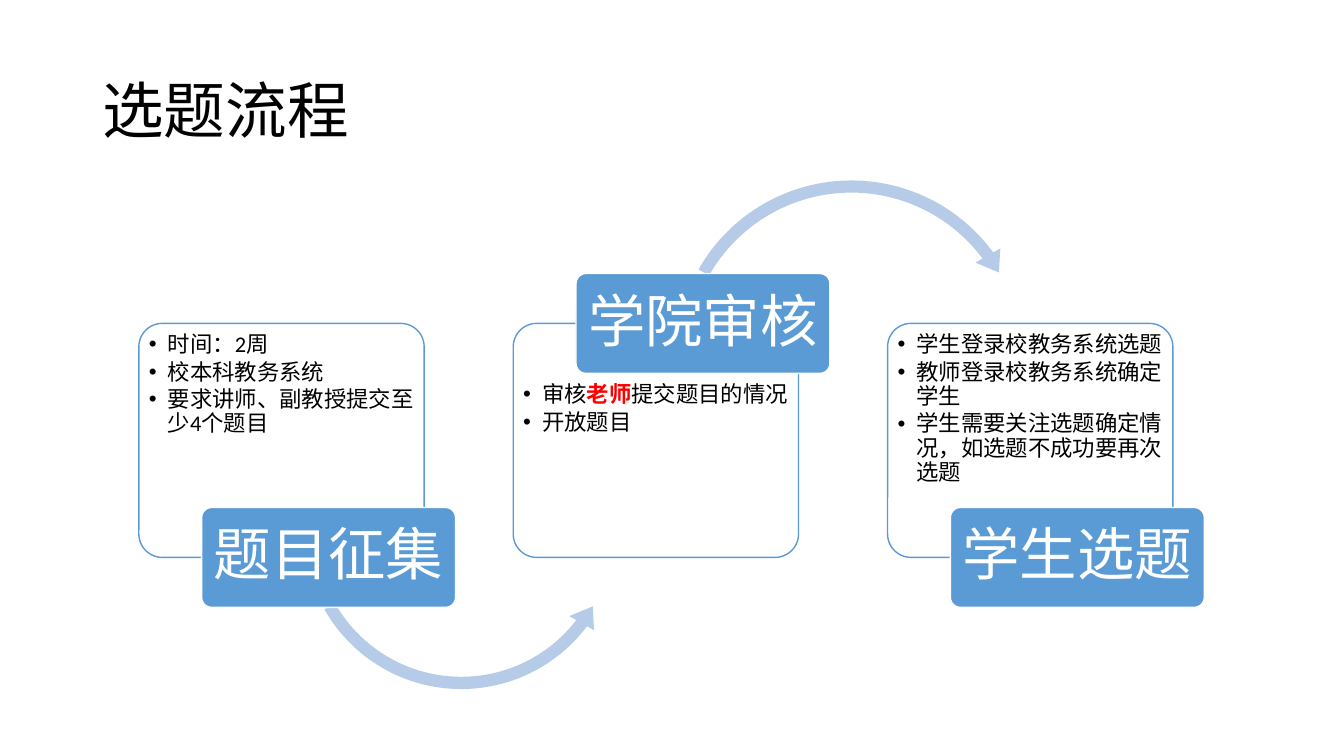
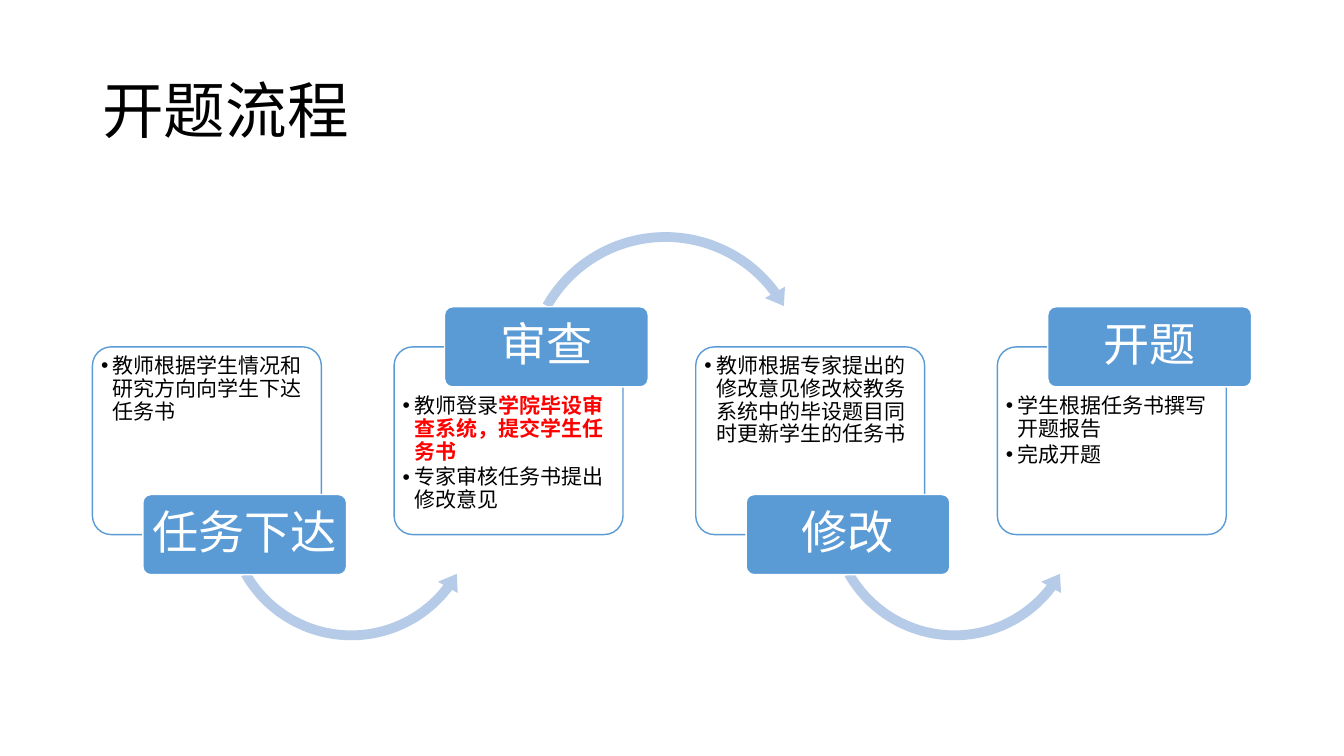
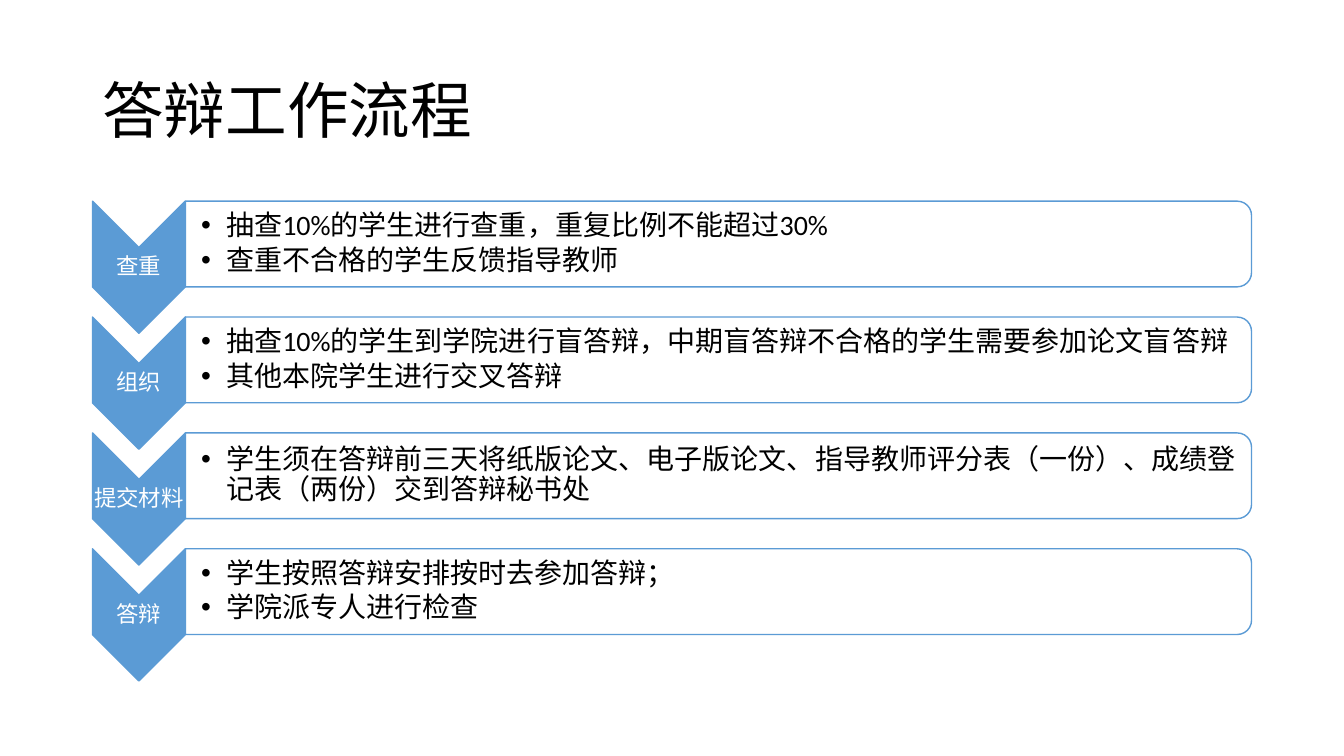
from lxml import etree
from pptx import Presentation
from pptx.dml.color import RGBColor
from pptx.enum.lang import MSO_LANGUAGE_ID as Lang
from pptx.enum.shapes import MSO_SHAPE as Shape
from pptx.enum.text import MSO_ANCHOR as Anchor, PP_ALIGN as Align
from pptx.oxml.ns import qn
from pptx.util import Cm, Pt

FONT = "Calibri"
BLUE, PALE_BLUE, WHITE, BLACK, RED = "5B9BD5", "B5CBE7", "FFFFFF", "000000", "FF0000"

# Card and arrow proportions, as fractions of the card width
CARD_HEIGHT = 0.82
LABEL_WIDTH, LABEL_HEIGHT, LABEL_SHIFT = 0.89, 0.35, 0.22
# Arrow: preset, left, top, side, then thickness %, head angle, end, start, head %
LOWER_ARROW = (Shape.LEFT_CIRCULAR_ARROW, 0.55, 0.15, 1.16, 3.7, 7.62, 37.21, 150.41, 4.3)
UPPER_ARROW = (Shape.CIRCULAR_ARROW, 0.54, -0.53, 1.29, 3.3, 6.81, 323.6, 209.59, 3.9)

TOPIC_STEPS = [
    ("题目征集", [["时间：2周"], ["校本科教务系统"], ["要求讲师、副教授提交至少4个题目"]]),
    ("学院审核", [["审核", ("老师",), "提交题目的情况"], ["开放题目"]]),
    ("学生选题", [["学生登录校教务系统选题"], ["教师登录校教务系统确定学生"],
              ["学生需要关注选题确定情况，如选题不成功要再次选题"]]),
]
PROPOSAL_STEPS = [
    ("任务下达", [["教师根据学生情况和研究方向向学生下达任务书"]]),
    ("审查", [["教师登录", ("学院毕设审查系统，提交学生任务书",)], ["专家审核任务书提出修改意见"]]),
    ("修改", [["教师根据专家提出的修改意见修改校教务系统中的毕设题目同时更新学生的任务书"]]),
    ("开题", [["学生根据任务书撰写开题报告"], ["完成开题"]]),
]
DEFENCE_STEPS = [
    ("查重", [["抽查10%的学生进行查重，重复比例不能超过30%"], ["查重不合格的学生反馈指导教师"]]),
    ("组织", [["抽查10%的学生到学院进行盲答辩，中期盲答辩不合格的学生需要参加论文盲答辩"],
            ["其他本院学生进行交叉答辩"]]),
    ("提交材料", [["学生须在答辩前三天将纸版论文、电子版论文、指导教师评分表（一份）、"
               "成绩登记表（两份）交到答辩秘书处"]]),
    ("答辩", [["学生按照答辩安排按时去参加答辩；"], ["学院派专人进行检查"]]),
]


def color(hex_code):
    return RGBColor.from_string(hex_code)


def add_box(slide, preset, left, top, width, height, fill, line=None):
    box = slide.shapes.add_shape(preset, Cm(left), Cm(top), Cm(width), Cm(height))
    box.shadow.inherit = False
    box.fill.solid()
    box.fill.fore_color.rgb = color(fill)
    if line:
        box.line.color.rgb = color(line)
        box.line.width = Pt(1)
    else:
        box.line.fill.background()
    return box


def add_turned_box(slide, preset, left, top, width, height, fill):
    """Place a preset turned by 90 degrees so that it fills the given area."""
    shift = (width - height) / 2
    box = add_box(slide, preset, left + shift, top - shift, height, width, fill, BLUE)
    box.rotation = 90


def add_text_area(slide, left, top, width, height):
    return slide.shapes.add_textbox(Cm(left), Cm(top), Cm(width), Cm(height))


def set_frame(shape, anchor, left, top, right, bottom):
    frame = shape.text_frame
    frame.word_wrap = True
    frame.vertical_anchor = anchor
    frame.margin_left, frame.margin_top = Cm(left), Cm(top)
    frame.margin_right, frame.margin_bottom = Cm(right), Cm(bottom)
    return frame


def add_run(paragraph, text, size, hex_code, bold=False):
    run = paragraph.add_run()
    run.text = text
    run.font.name = FONT
    run.font.size = Pt(size)
    run.font.bold = bold
    run.font.color.rgb = color(hex_code)
    run.font.language_id = Lang.SIMPLIFIED_CHINESE


def write_line(frame, text, size, hex_code, align):
    paragraph = frame.paragraphs[0]
    paragraph.alignment = align
    paragraph.line_spacing = 0.9
    add_run(paragraph, text, size, hex_code)


def write_bullets(frame, items, size, indent):
    """Each item is a list of runs; a run in a tuple is emphasised."""
    for index, runs in enumerate(items):
        paragraph = frame.add_paragraph() if index else frame.paragraphs[0]
        paragraph.alignment = Align.LEFT
        paragraph.line_spacing = 0.9
        paragraph.space_after = Pt(0.15 * size)
        properties = paragraph._p.get_or_add_pPr()
        properties.set("marL", str(Cm(indent)))
        properties.set("indent", str(-Cm(indent)))
        etree.SubElement(properties, qn("a:buFont")).set("typeface", "Arial")
        etree.SubElement(properties, qn("a:buChar")).set("char", "•")
        for run in runs:
            if isinstance(run, tuple):
                add_run(paragraph, run[0], size, RED, bold=True)
            else:
                add_run(paragraph, run, size, BLACK)


def add_titled_slide(deck, title):
    slide = deck.slides.add_slide(deck.slide_layouts[6])
    frame = set_frame(add_text_area(slide, 2.33, 1.01, 29.21, 3.68),
                      Anchor.MIDDLE, 0.25, 0.13, 0.25, 0.13)
    write_line(frame, title, 44, BLACK, Align.LEFT)
    return slide


def add_flow_arrow(slide, left, top, card_width, arrow):
    preset, x, y, side, thickness, head_angle, end, start, head = arrow
    curve = add_box(slide, preset, left + x * card_width, top + y * card_width,
                    side * card_width, side * card_width, PALE_BLUE)
    # Adjustments count 100000ths, angles count 60000ths of a degree
    values = [thickness / 100, head_angle * 0.6, end * 0.6, start * 0.6, head / 100]
    for index, value in enumerate(values):
        curve.adjustments[index] = value


def add_step_card(slide, left, top, width, step, raised, arrow, sizes, indent):
    """Card with its label on the top edge if raised, else on the bottom edge."""
    label, items = step
    label_size, item_size = sizes
    height, label_height = CARD_HEIGHT * width, LABEL_HEIGHT * width

    card = add_box(slide, Shape.ROUNDED_RECTANGLE, left, top, width, height, WHITE, BLUE)
    card.adjustments[0] = 0.1
    text_top = 0.08 + (label_height / 2 if raised else 0)
    write_bullets(set_frame(card, Anchor.TOP, 0.08, text_top, 0.08, 0.08),
                  items, item_size, indent)
    if arrow:
        add_flow_arrow(slide, left, top, width, arrow)

    edge = top if raised else top + height
    plate = add_box(slide, Shape.ROUNDED_RECTANGLE, left + LABEL_SHIFT * width,
                    edge - label_height / 2, LABEL_WIDTH * width, label_height, BLUE, WHITE)
    plate.adjustments[0] = 0.1
    write_line(set_frame(plate, Anchor.MIDDLE, 0.1, 0.1, 0.1, 0.1),
               label, label_size, WHITE, Align.CENTER)


def add_step_flow(slide, left, top, width, card_width, steps, sizes, indent):
    """Cards spread evenly over the width, with labels alternately low and high."""
    last = len(steps) - 1
    pitch = (width - (LABEL_SHIFT + LABEL_WIDTH) * card_width) / last
    for index, step in enumerate(steps):
        raised = index % 2 == 1
        arrow = UPPER_ARROW if raised else LOWER_ARROW
        add_step_card(slide, left + index * pitch, top, card_width, step, raised,
                      arrow if index < last else None, sizes, indent)


def add_chevron_row(slide, left, top, width, step):
    label, items = step
    chevron_width, chevron_height, bar_height = 2.34, 3.33, 2.16
    bar_left, bar_width = left + chevron_width, width - chevron_width

    add_turned_box(slide, Shape.CHEVRON, left, top, chevron_width, chevron_height, BLUE)
    caption = add_text_area(slide, left, top + (chevron_height - 1) / 2, chevron_width, 1)
    write_line(set_frame(caption, Anchor.MIDDLE, 0.02, 0.02, 0.02, 0.02),
               label, 16, WHITE, Align.CENTER)

    add_turned_box(slide, Shape.ROUND_2_SAME_RECTANGLE, bar_left, top,
                   bar_width, bar_height, WHITE)
    details = add_text_area(slide, bar_left, top + 0.1, bar_width - 0.1, bar_height - 0.2)
    write_bullets(set_frame(details, Anchor.MIDDLE, 0.4, 0.02, 0.02, 0.02), items, 20, 0.63)


def add_chevron_list(slide, left, top, width, pitch, steps):
    for index, step in enumerate(steps):
        add_chevron_row(slide, left, top + index * pitch, width, step)


def main():
    deck = Presentation()
    deck.slide_width, deck.slide_height = Cm(33.87), Cm(19.05)

    topics = add_titled_slide(deck, "选题流程")
    add_step_flow(topics, 3.5, 8.15, 26.85, 7.19, TOPIC_STEPS, (41, 16), 0.48)

    proposal = add_titled_slide(deck, "开题流程")
    add_step_flow(proposal, 2.33, 8.74, 29.21, 5.77, PROPOSAL_STEPS, (33, 15), 0.3)

    defence = add_titled_slide(deck, "答辩工作流程")
    add_chevron_list(defence, 2.33, 5.07, 29.21, 2.92, DEFENCE_STEPS)

    deck.save("out.pptx")


if __name__ == "__main__":
    main()
